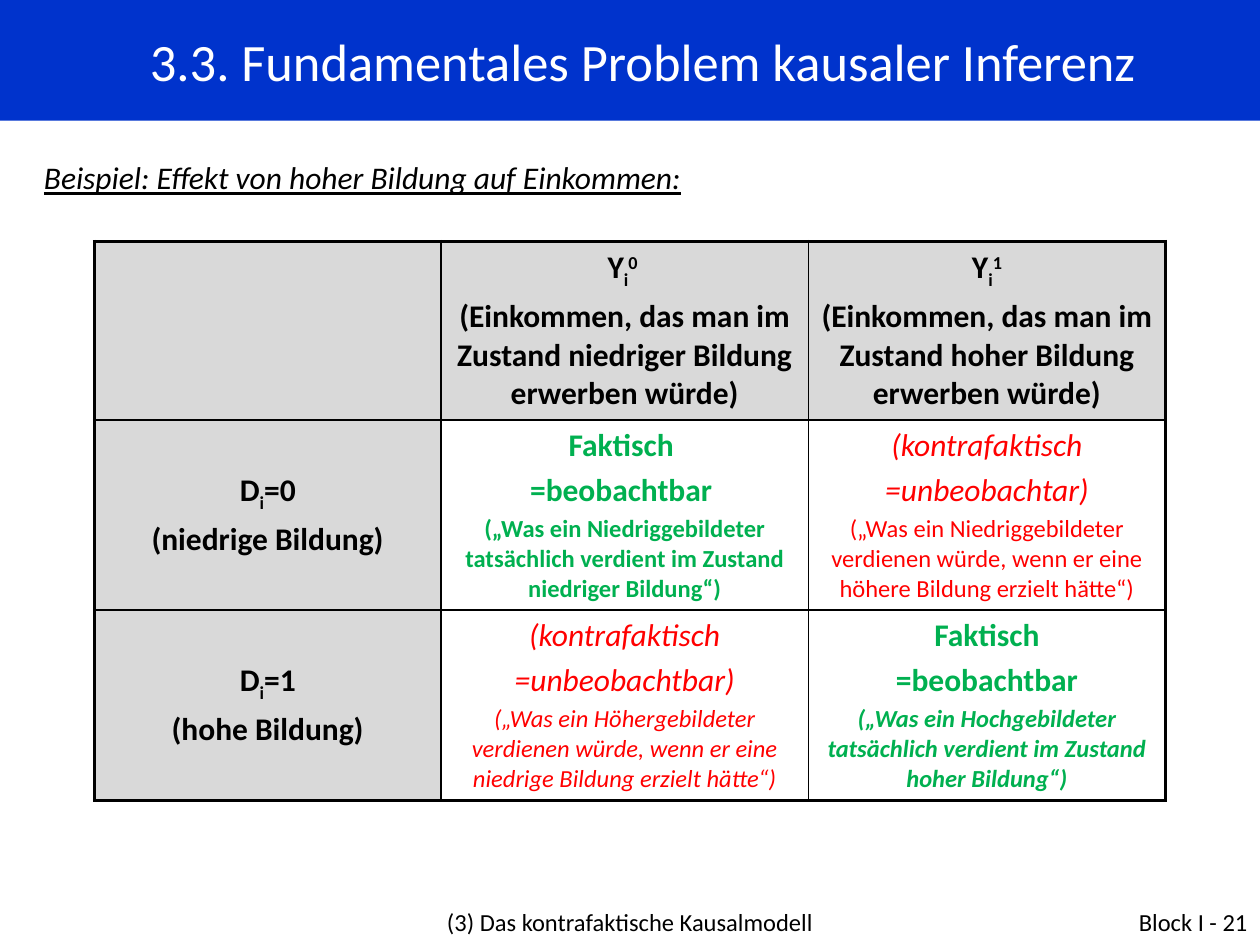
from lxml.etree import SubElement
from pptx import Presentation
from pptx.dml.color import RGBColor
from pptx.enum.shapes import MSO_SHAPE
from pptx.enum.text import MSO_ANCHOR, PP_ALIGN
from pptx.oxml.ns import qn
from pptx.util import Pt

BLUE = RGBColor(0x00, 0x33, 0xCC)
WHITE = RGBColor(0xFF, 0xFF, 0xFF)
BLACK = RGBColor(0x00, 0x00, 0x00)
GRAY = RGBColor(0xD9, 0xD9, 0xD9)
GREEN = RGBColor(0x00, 0xB0, 0x50)
RED = RGBColor(0xFF, 0x00, 0x00)
FONT = "Calibri"
SUB, SUP = -25000, 30000
THIN, THICK = 1, 2.25

TITLE = "3.3. Fundamentales Problem kausaler Inferenz"
LEAD = "Beispiel: Effekt von hoher Bildung auf Einkommen:"
FOOT = "(3) Das kontrafaktische Kausalmodell"
PAGE = "Block I - 21"


def head(runs, note):
    """Label paragraphs: a symbol of (text, baseline) runs over its meaning."""
    return [(runs, 18, BLACK, True, False), ([(note, 0)], 18, BLACK, True, False)]


def case(lines, note, real, slant):
    """Outcome paragraphs: green and bold when factual, else red and italic."""
    color = GREEN if real else RED
    top = [([(line, 0)], 18, color, real, not real) for line in lines]
    return top + [([(note, 0)], 14, color, real, slant)]


ROWS = [
    [
        [],
        head([("Y", 0), ("i", SUB), ("0 ", SUP)],
             "(Einkommen, das man im Zustand niedriger Bildung erwerben würde)"),
        head([("Y", 0), ("i", SUB), ("1", SUP)],
             "(Einkommen, das man im Zustand hoher Bildung erwerben würde)"),
    ],
    [
        head([("D", 0), ("i", SUB), ("=0", 0)], "(niedrige Bildung)"),
        case(["Faktisch ", "=beobachtbar "],
             "(„Was ein Niedriggebildeter tatsächlich verdient im Zustand "
             "niedriger Bildung“)", True, False),
        case(["(kontrafaktisch", "=unbeobachtar)"],
             "(„Was ein Niedriggebildeter verdienen würde, wenn er eine "
             "höhere Bildung erzielt hätte“)", False, False),
    ],
    [
        head([("D", 0), ("i", SUB), ("=1", 0)], "(hohe Bildung)"),
        case(["(kontrafaktisch", "=unbeobachtbar)"],
             "(„Was ein Höhergebildeter verdienen würde, wenn er eine "
             "niedrige Bildung erzielt hätte“)", False, True),
        case(["Faktisch", "=beobachtbar"],
             "(„Was ein Hochgebildeter tatsächlich verdient im Zustand "
             "hoher Bildung“)", True, True),
    ],
]
WIDTHS = [198, 210, 204]
HEIGHTS = [102, 101.5, 101.5]


def add_run(para, text, size, color, bold=False, slant=False, base=0):
    run = para.add_run()
    run.text = text
    font = run.font
    font.name, font.size, font.bold, font.italic = FONT, Pt(size), bold, slant
    font.color.rgb = color
    if base:
        font._element.set("baseline", str(base))
    return run


def add_text(slide, box, text, size, align, slant=False):
    frame = slide.shapes.add_textbox(*map(Pt, box)).text_frame
    frame.word_wrap = True
    para = frame.paragraphs[0]
    para.alignment = align
    return add_run(para, text, size, BLACK, slant=slant)


def fill_cell(cell, paras):
    cell.vertical_anchor = MSO_ANCHOR.MIDDLE
    frame = cell.text_frame
    for i, (runs, size, color, bold, slant) in enumerate(paras):
        para = frame.add_paragraph() if i else frame.paragraphs[0]
        para.alignment = PP_ALIGN.CENTER
        if i:
            para.space_before = Pt(size * 0.2)
        for text, base in runs:
            add_run(para, text, size, color, bold, slant, base)


def add_edges(cell, row, col):
    """Draw the cell borders, thick on the rim of the table."""
    rim = {"L": col == 0, "R": col == len(WIDTHS) - 1,
           "T": row == 0, "B": row == len(HEIGHTS) - 1}
    props = cell._tc.get_or_add_tcPr()
    for side, outer in rim.items():
        line = SubElement(props, qn("a:ln" + side),
                          w=str(Pt(THICK if outer else THIN)))
        solid = SubElement(line, qn("a:solidFill"))
        SubElement(solid, qn("a:srgbClr"), val=str(BLACK))


def add_title(slide):
    bar = slide.shapes.add_shape(MSO_SHAPE.RECTANGLE, 0, 0, Pt(720), Pt(69))
    bar.shadow.inherit = False
    bar.fill.solid()
    bar.fill.fore_color.rgb = BLUE
    bar.line.fill.background()
    bar.text_frame.vertical_anchor = MSO_ANCHOR.MIDDLE
    para = bar.text_frame.paragraphs[0]
    para.alignment = PP_ALIGN.CENTER
    props = para._p.get_or_add_pPr()
    props.set("marL", str(Pt(37.5)))
    props.set("indent", str(Pt(-22.5)))
    add_run(para, TITLE, 30, WHITE)


def add_grid(slide):
    frame = slide.shapes.add_table(
        len(HEIGHTS), len(WIDTHS), Pt(54), Pt(138),
        Pt(sum(WIDTHS)), Pt(sum(HEIGHTS)))
    table = frame.table
    table.horz_banding = False
    for col, width in zip(table.columns, WIDTHS):
        col.width = Pt(width)
    for r, (row, height) in enumerate(zip(table.rows, HEIGHTS)):
        row.height = Pt(height)
        for c, cell in enumerate(row.cells):
            fill_cell(cell, ROWS[r][c])
            add_edges(cell, r, c)
            cell.fill.solid()
            cell.fill.fore_color.rgb = WHITE if r and c else GRAY


def main():
    prs = Presentation()
    prs.slide_width, prs.slide_height = Pt(720), Pt(540)
    slide = prs.slides.add_slide(prs.slide_layouts[6])
    add_grid(slide)
    add_title(slide)
    lead = add_text(slide, (18, 87, 630, 29), LEAD, 18, PP_ALIGN.LEFT, True)
    lead.font.underline = True
    add_text(slide, (174, 515, 372, 37.5), FOOT, 14, PP_ALIGN.CENTER)
    add_text(slide, (552, 515, 168, 37.5), PAGE, 14, PP_ALIGN.RIGHT)
    prs.save("out.pptx")


if __name__ == "__main__":
    main()
